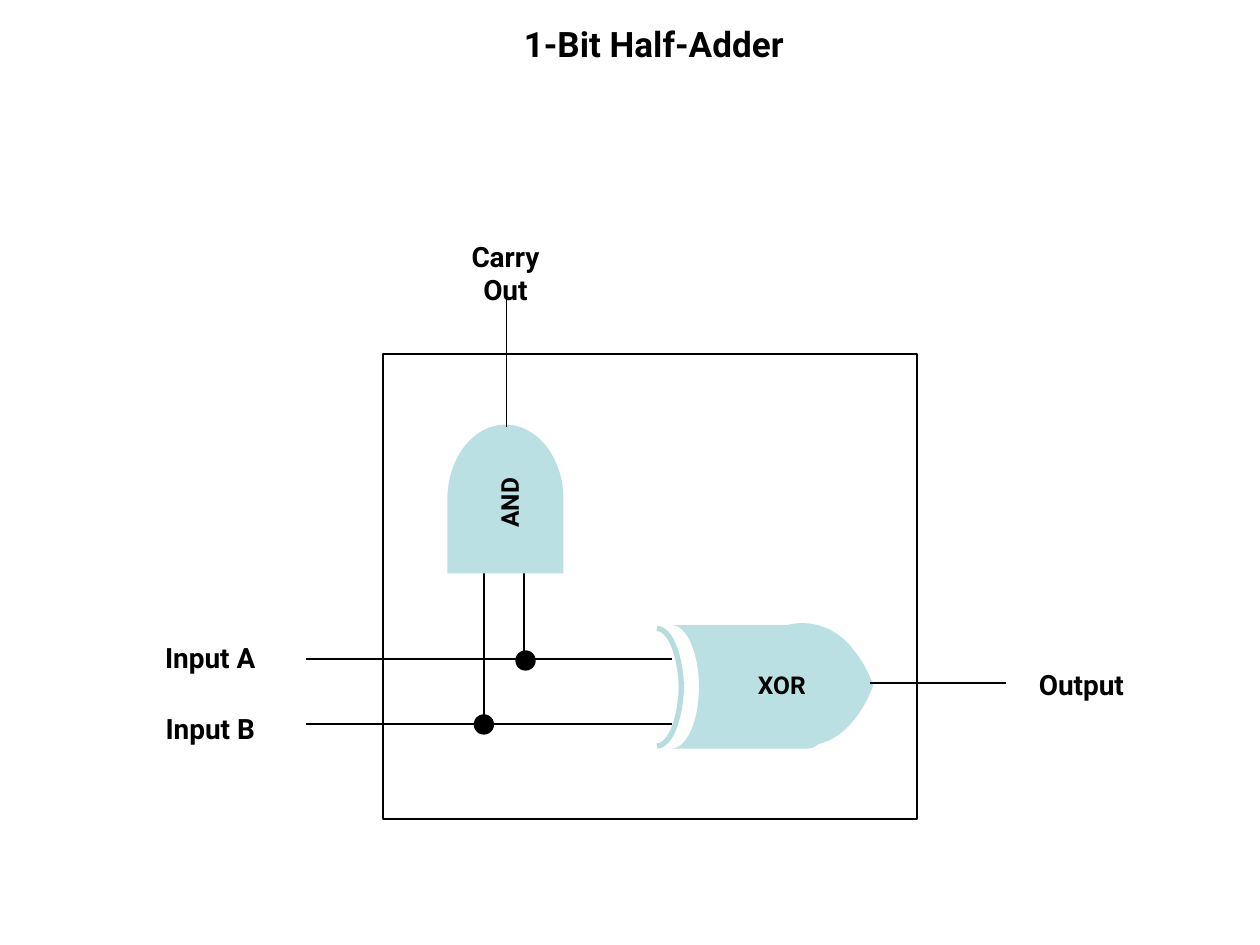
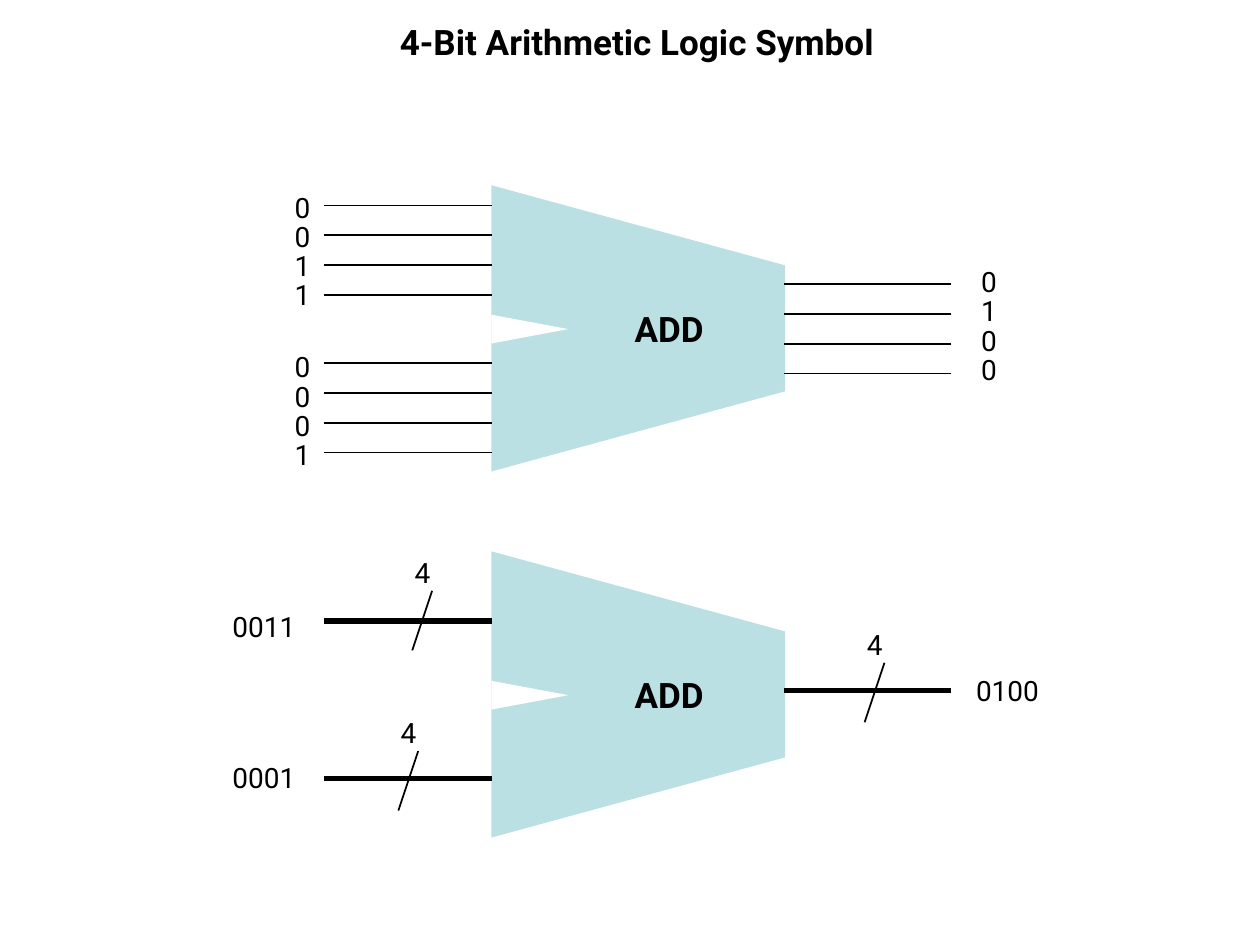
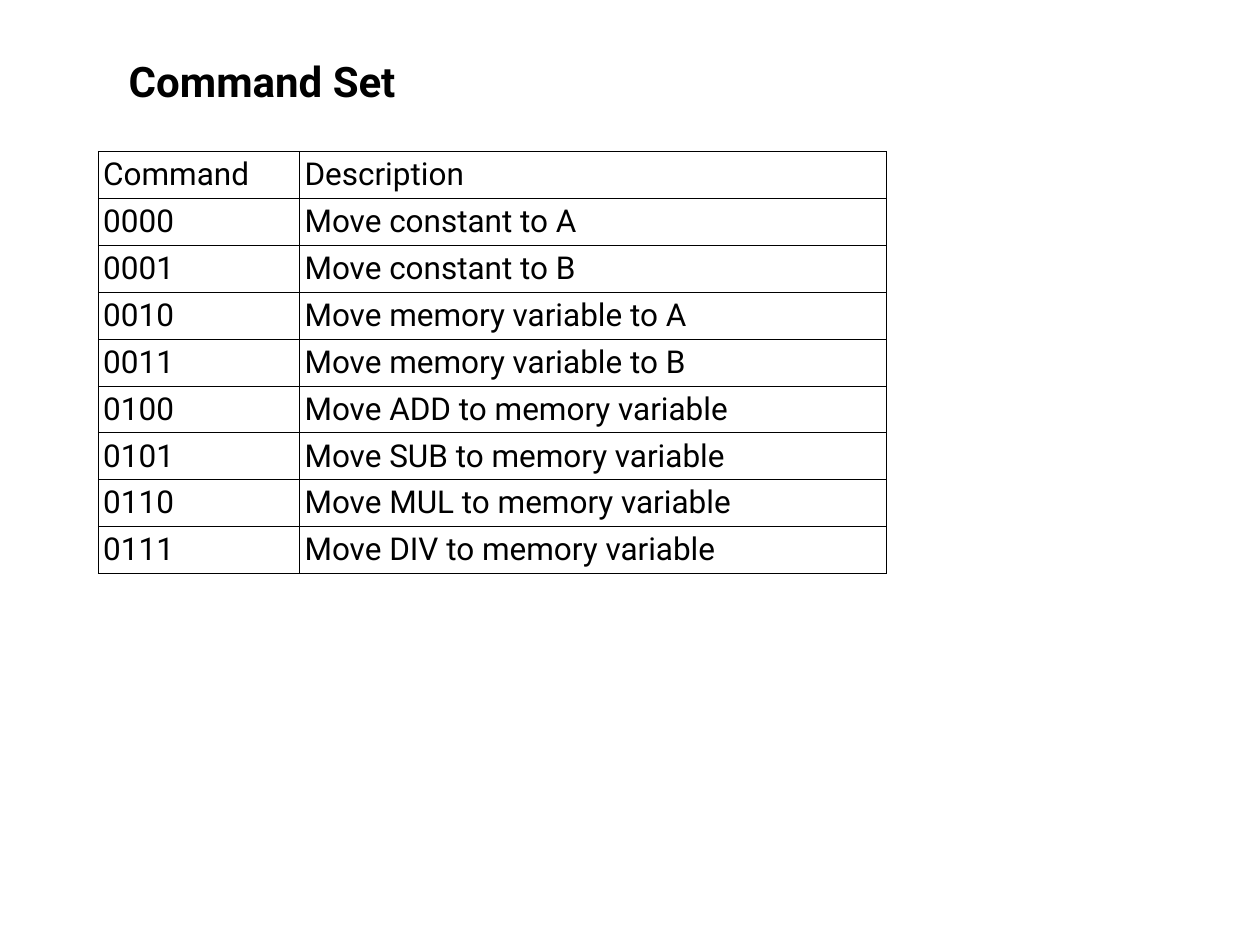
from lxml import etree
from pptx import Presentation
from pptx.dml.color import RGBColor
from pptx.enum.shapes import MSO_CONNECTOR, MSO_SHAPE
from pptx.enum.text import MSO_ANCHOR, MSO_AUTO_SIZE, PP_ALIGN
from pptx.oxml.ns import qn
from pptx.util import Cm, Pt

STRAIGHT = MSO_CONNECTOR.STRAIGHT
RECTANGLE, OVAL, ARC = MSO_SHAPE.RECTANGLE, MSO_SHAPE.OVAL, MSO_SHAPE.ARC
STORED_DATA, DELAY = MSO_SHAPE.FLOWCHART_STORED_DATA, MSO_SHAPE.FLOWCHART_DELAY
TEAR, TRAPEZOID = MSO_SHAPE.TEAR, MSO_SHAPE.TRAPEZOID
TRIANGLE = MSO_SHAPE.ISOSCELES_TRIANGLE
TOP, MIDDLE = MSO_ANCHOR.TOP, MSO_ANCHOR.MIDDLE
NO_AUTOFIT = MSO_AUTO_SIZE.NONE
LEFT, CENTER = PP_ALIGN.LEFT, PP_ALIGN.CENTER

BLACK, WHITE, GATE, GATE_EDGE = "000000", "FFFFFF", "BBE0E3", "B6DCDF"
TITLE_ONLY = 5


def color(code):
    """Turn a hex string into a colour."""
    return RGBColor.from_string(code)


def assign(target, values):
    """Set each named value on the target."""
    for attribute, value in values.items():
        setattr(target, attribute, value)


class Deck:
    """Hold the shared style and the slide being drawn."""

    FONT = "Roboto"
    FRAME = {"word_wrap": True, "auto_size": NO_AUTOFIT, "vertical_anchor": TOP}

    def __init__(self):
        """Start an empty 4:3 presentation."""
        self.presentation = Presentation()
        assign(self.presentation, {"slide_width": Cm(25.4), "slide_height": Cm(19.05)})
        self.slide = None

    def put_text(self, frame, text, size, bold=False, align=CENTER):
        """Put one formatted paragraph into a text frame."""
        frame.text = text
        paragraph = frame.paragraphs[0]
        paragraph.alignment = align
        assign(paragraph.font, {"name": self.FONT, "size": Pt(size), "bold": bold})
        paragraph.font.color.rgb = color(BLACK)

    def new_slide(self, title, box, size=20):
        """Add a slide with a placed title."""
        layout = self.presentation.slide_layouts[TITLE_ONLY]
        self.slide = self.presentation.slides.add_slide(layout)
        heading = self.slide.shapes.title
        assign(heading, dict(zip(("left", "top", "width", "height"), map(Cm, box))))
        assign(heading.text_frame, self.FRAME)
        self.put_text(heading.text_frame, title, size, bold=True)

    def label(self, text, box, size=16, bold=False, rotation=0):
        """Add a centred text box."""
        caption = self.slide.shapes.add_textbox(*map(Cm, box))
        caption.rotation = rotation
        assign(caption.text_frame, self.FRAME)
        self.put_text(caption.text_frame, text, size, bold)

    def shape(self, kind, box, fill=None, line=None, weight=1, rotation=0,
              adjustment=None, flip=False):
        """Add a preset shape."""
        part = self.slide.shapes.add_shape(kind, *map(Cm, box))
        part.shadow.inherit = False
        part.rotation = rotation
        if adjustment is not None:
            part.adjustments[0] = adjustment
        if flip:
            part._element.spPr.find(qn("a:xfrm")).set("flipV", "1")
        for paint, code in ((part.fill, fill), (part.line.fill, line)):
            if code:
                paint.solid()
                paint.fore_color.rgb = color(code)
            else:
                paint.background()
        if line:
            part.line.width = Pt(weight)

    def wire(self, x1, y1, x2, y2, weight=1):
        """Add a straight black line."""
        wire = self.slide.shapes.add_connector(STRAIGHT, *map(Cm, (x1, y1, x2, y2)))
        wire.line.width = Pt(weight)
        wire.line.color.rgb = color(BLACK)
        etree.SubElement(wire._element.spPr, qn("a:effectLst"))

    def border(self, cell):
        """Draw a thin black border round a cell."""
        properties = cell._tc.get_or_add_tcPr()
        for side in ("a:lnL", "a:lnR", "a:lnT", "a:lnB"):
            edge = etree.SubElement(properties, qn(side), w=str(Pt(0.5)))
            solid = etree.SubElement(edge, qn("a:solidFill"))
            etree.SubElement(solid, qn("a:srgbClr"), val=BLACK)

    def table(self, rows, left, top, widths, row_height):
        """Add a plain bordered table."""
        box = (left, top, sum(widths), row_height * len(rows))
        grid = self.slide.shapes.add_table(len(rows), len(widths), *map(Cm, box)).table
        assign(grid, {"first_row": False, "horz_banding": False})
        for column, width in zip(grid.columns, widths):
            column.width = Cm(width)
        margins = {f"margin_{side}": Cm(0.1) for side in ("left", "right", "top", "bottom")}
        for row, texts in zip(grid.rows, rows):
            row.height = Cm(row_height)
            for cell, text in zip(row.cells, texts):
                assign(cell, {**margins, "vertical_anchor": MIDDLE})
                self.border(cell)
                cell.fill.background()
                self.put_text(cell.text_frame, text, 18, align=LEFT)


def half_adder(deck):
    """Draw the half-adder circuit."""
    deck.new_slide("1-Bit Half-Adder", (6.45, 0.33, 13.46, 1.12))
    input_a, input_b, and_base = 13.28, 14.6, 10.44
    deck.wire(9.75, input_b, 9.75, and_base)
    deck.shape(STORED_DATA, (13.54, 12.6, 3.3, 2.49), GATE, rotation=180)
    deck.shape(TEAR, (14.94, 12.57, 2.49, 2.46), GATE, rotation=45.2, adjustment=0.81)
    for top, flip in ((12.67, False), (12.45, True)):
        deck.shape(ARC, (12.75, top, 0.99, 2.59), line=GATE_EDGE, weight=3, flip=flip)
    deck.shape(RECTANGLE, (7.72, 7.14, 10.77, 9.37), line=BLACK)
    for level in (input_b, input_a):
        deck.wire(6.17, level, 13.54, level)
    deck.wire(17.53, 13.77, 20.27, 13.77)
    deck.label("XOR", (14.58, 13.39, 2.36, 0.86), 14, bold=True)
    deck.wire(10.57, input_a, 10.57, and_base)
    deck.shape(DELAY, (8.69, 8.89, 3, 2.34), GATE, rotation=270)
    deck.label("AND", (9.09, 9.7, 2.36, 0.86), 14, bold=True, rotation=270)
    deck.wire(10.21, 8.61, 10.21, 5.89)
    for left, top in ((9.55, 14.4), (10.39, 13.11)):
        deck.shape(OVAL, (left, top, 0.41, 0.41), BLACK)
    for text, left, top in (("Input A", 2.79, 12.78), ("Input B", 2.79, 14.22),
                            ("Output", 20.35, 13.34), ("Carry Out", 8.74, 4.7)):
        deck.label(text, (left, top, 2.9, 0.79), bold=True)


def logic_symbol(deck):
    """Draw the adder with single wires and with buses."""
    deck.new_slide("4-Bit Arithmetic Logic Symbol", (7.01, 0.28, 11.66, 1.12))
    for top in (3.66, 11.04):
        deck.shape(TRAPEZOID, (9.98, top, 5.77, 5.92), GATE, rotation=90, adjustment=0.28)
        deck.shape(TRIANGLE, (10.39, top + 2.2, 0.58, 1.55), WHITE, rotation=90)
        deck.label("ADD", (11.18, top + 2.41, 4.62, 1.12), 20, bold=True)

    wire_length, input_x, output_x = 3.38, 6.53, 15.8
    for bits, wire_x, wire_y, bit_x, bit_y in (
            ("0011", input_x, 4.14, 5.69, 3.71),
            ("0001", input_x, 7.32, 5.69, 6.93),
            ("0100", output_x, 5.73, 19.53, 5.21)):
        for index, bit in enumerate(bits):
            level = wire_y + 0.6 * index
            deck.wire(wire_x + wire_length, level, wire_x, level)
            deck.label(bit, (bit_x, bit_y + 0.59 * index, 0.53, 0.69))

    for value, bus_x, bus_y, slash_x, slash_y, value_x, value_y in (
            ("0011", input_x, 12.52, 8.71, 11.91, 4.42, 12.17),
            ("0001", input_x, 15.7, 8.43, 15.14, 4.42, 15.21),
            ("0100", output_x, 13.92, 17.83, 13.36, 19.41, 13.46)):
        deck.wire(bus_x + wire_length, bus_y, bus_x, bus_y, weight=3)
        deck.wire(slash_x, slash_y, slash_x - 0.4, slash_y + 1.2)
        deck.label("4", (slash_x - 0.73, slash_y - 0.84, 1.07, 0.79))
        deck.label(value, (value_x, value_y, 1.8, 0.94))


def command_set(deck):
    """List the commands in a table."""
    deck.new_slide("Command Set", (1.4, 0.99, 7.77, 1.27), 24)
    descriptions = [f"Move {source} to {register}"
                    for source in ("constant", "memory variable") for register in "AB"]
    descriptions += [f"Move {operation} to memory variable"
                     for operation in ("ADD", "SUB", "MUL", "DIV")]
    commands = [(f"{code:04b}", text) for code, text in enumerate(descriptions)]
    deck.table([("Command", "Description"), *commands], 1.98, 3.05, (4.06, 11.83), 0.94)


def main():
    """Build and save the slides."""
    deck = Deck()
    for draw in (half_adder, logic_symbol, command_set):
        draw(deck)
    deck.presentation.save("out.pptx")


if __name__ == "__main__":
    main()
